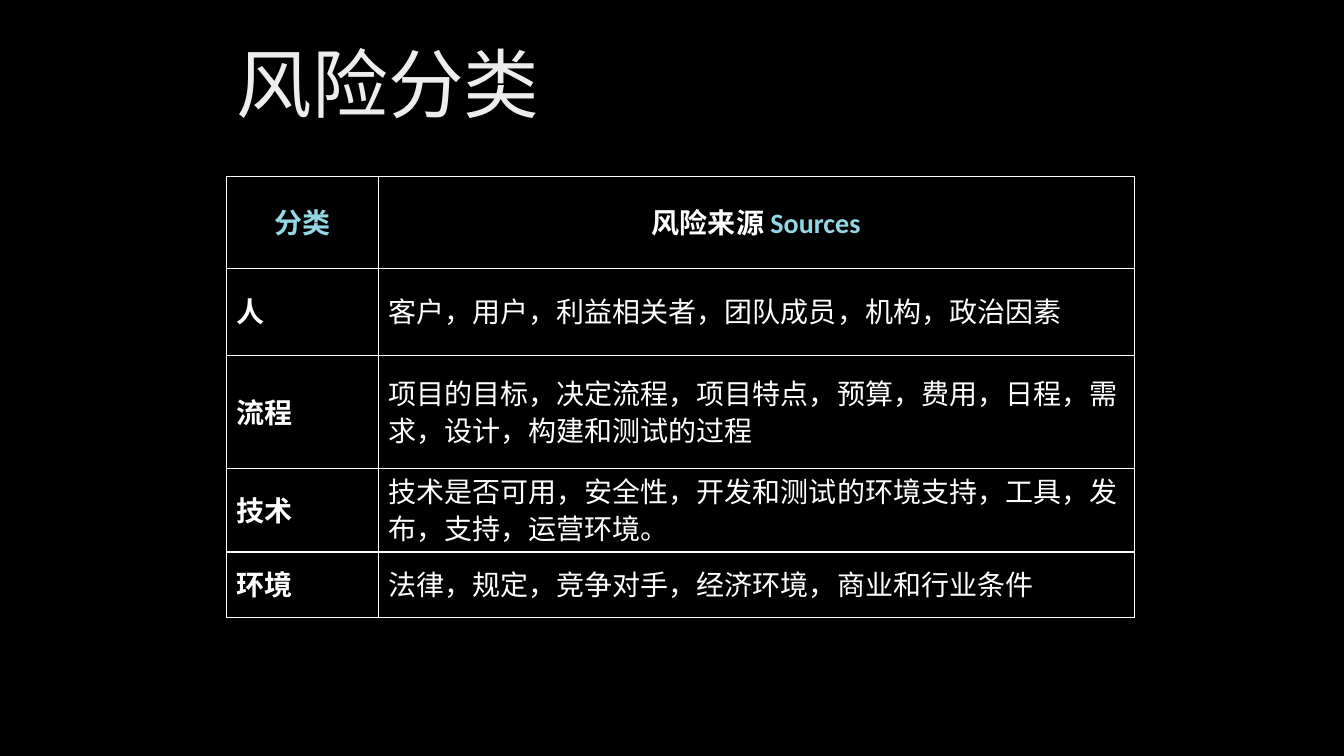
"""Build the risk categories slide."""
from lxml.etree import SubElement
from pptx import Presentation
from pptx.dml.color import RGBColor
from pptx.enum.text import MSO_ANCHOR, PP_ALIGN
from pptx.oxml import parse_xml
from pptx.oxml.ns import nsdecls, qn
from pptx.util import Inches, Pt

TITLE = "风险分类"
SHADES = [(0, "BFBFBF"), (28, "EDEDED"), (100, "FFFFFF")]
BLACK, WHITE, CYAN = "000000", "FFFFFF", "94D7E4"
HEADS = [
    [("分类", CYAN)],
    [("风险来源", WHITE), (" Sources", CYAN)],
]
RISKS = [
    ("人", "客户，用户，利益相关者，团队成员，机构，政治因素"),
    ("流程", "项目的目标，决定流程，项目特点，预算，费用，日程，需求，设计，构建和测试的过程"),
    ("技术", "技术是否可用，安全性，开发和测试的环境支持，工具，发布，支持，运营环境。"),
    ("环境", "法律，规定，竞争对手，经济环境，商业和行业条件"),
]
WIDTHS = [1.5, 7.5]
HEIGHTS = [0.91, 0.87, 1.12, 0.78, 0.65]
LEFT, TOP = 2.25, 1.75


def color(code):
    return RGBColor.from_string(code)


def add_title(slide):
    title = slide.shapes.title
    title.left, title.top = Inches(LEFT), Inches(0.25)
    title.width, title.height = Inches(sum(WIDTHS)), Inches(1.25)
    frame = title.text_frame
    frame.text = TITLE
    frame.word_wrap = True
    frame.vertical_anchor = MSO_ANCHOR.MIDDLE
    para = frame.paragraphs[0]
    para.alignment, para.line_spacing = PP_ALIGN.LEFT, 0.9
    font = para.runs[0].font
    font.name, font.size = "Calibri", Pt(54)
    font.fill.gradient()
    font.fill.gradient_angle = 280
    stops = font.fill.gradient_stops
    stop_list = font._element.find(".//" + qn("a:gsLst"))
    for _ in stops:
        stop_list.remove(stop_list[0])
    for place, code in SHADES:
        stop = SubElement(stop_list, qn("a:gs"), pos=str(place * 1000))
        SubElement(stop, qn("a:srgbClr"), val=code)


def add_border(cell):
    props = cell._tc.get_or_add_tcPr()
    for spot, side in enumerate("LRTB"):
        props.insert(spot, parse_xml(
            f'<a:ln{side} {nsdecls("a")} w="12700"><a:solidFill>'
            f'<a:srgbClr val="{WHITE}"/></a:solidFill></a:ln{side}>'))


def fill_cell(cell, runs, face, bold, head):
    cell.vertical_anchor = MSO_ANCHOR.MIDDLE
    if head:
        cell.fill.solid()
        cell.fill.fore_color.rgb = color(BLACK)
    else:
        cell.fill.background()
    add_border(cell)
    para = cell.text_frame.paragraphs[0]
    para.line_spacing = 0.9
    para.alignment = PP_ALIGN.CENTER if head else PP_ALIGN.LEFT
    if not head:
        for tag in ("a:spcBef", "a:spcAft"):
            gap = SubElement(para._p.get_or_add_pPr(), qn(tag))
            SubElement(gap, qn("a:spcPct"), val="30000")
    font = para.font
    font.name, font.size, font.bold = face, Pt(20), bold
    for text, code in runs:
        run = para.add_run()
        run.text = text
        run.font.color.rgb = color(code)


def add_grid(slide):
    table = slide.shapes.add_table(
        len(HEIGHTS), len(WIDTHS), Inches(LEFT), Inches(TOP),
        Inches(sum(WIDTHS)), Inches(sum(HEIGHTS))).table
    table.first_row = table.horz_banding = False
    for col, width in zip(table.columns, WIDTHS):
        col.width = Inches(width)
    for row, height in zip(table.rows, HEIGHTS):
        row.height = Inches(height)
    for col, runs in enumerate(HEADS):
        fill_cell(table.cell(0, col), runs, "Calibri", True, True)
    for row, texts in enumerate(RISKS, 1):
        for col, text in enumerate(texts):
            fill_cell(table.cell(row, col), [(text, WHITE)],
                      "Arial Narrow", col == 0, False)


def main():
    deck = Presentation()
    deck.slide_width, deck.slide_height = Inches(13.33), Inches(7.5)
    slide = deck.slides.add_slide(deck.slide_layouts[5])
    back = slide.background.fill
    back.solid()
    back.fore_color.rgb = color(BLACK)
    add_title(slide)
    add_grid(slide)
    deck.save("out.pptx")


if __name__ == "__main__":
    main()
